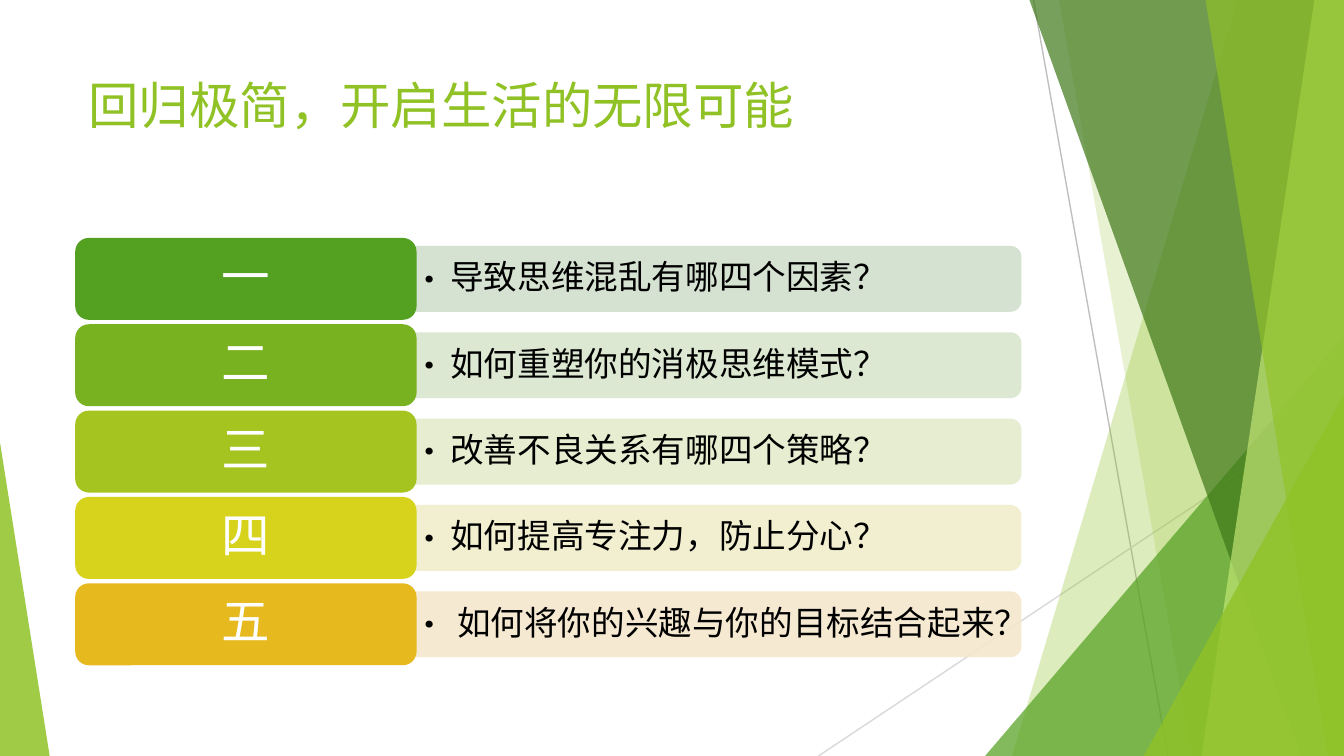
"""Build the agenda slide with faceted green edges and five numbered questions."""
from lxml.etree import SubElement
from pptx import Presentation
from pptx.dml.color import RGBColor
from pptx.enum.shapes import MSO_CONNECTOR as CONN, MSO_SHAPE as SHAPE
from pptx.enum.text import MSO_ANCHOR as ANCHOR, PP_ALIGN as ALIGN
from pptx.oxml.ns import qn
from pptx.util import Inches, Pt

THEME = {
    "font": "Karla",
    "green": "90C226", "leaf": "54A021", "forest": "3F7819", "lime": "C0E474",
    "white": "FFFFFF", "black": "000000",
    "title": 27, "label": 26, "body": 18,
}
TITLE = "回归极简，开启生活的无限可能"
ROWS = [
    ("一", "导致思维混乱有哪四个因素？", "54A021", "D1DFCD", 0.19),
    ("二", "如何重塑你的消极思维模式？", "79B220", "D9E6CC", 0.19),
    ("三", "改善不良关系有哪四个策略？", "A5C41F", "E5ECCB", 0.19),
    ("四", "如何提高专注力，防止分心？", "D7D31D", "F1EECC", 0.19),
    ("五", "如何将你的兴趣与你的目标结合起来？", "E6B91E", "F5E7CD", 0.24),
]
WIDTH = 10
HEIGHT = WIDTH * 9 / 16
LINES = [
    ((7.69, 0), (8.69, HEIGHT), "BFBFBF"),
    ((WIDTH, 3.02), (6.09, HEIGHT), "D9D9D9"),
]
FACETS = [
    ("band", (9.21, 7.53), "green", 30),
    ("band", (7.88, 8.87), "green", 20),
    ("triangle", (7.33, 2.5, 2.67, 1), "leaf", 72),
    ("band", (7.66, 9.68), "forest", 70),
    ("band", (9.78, 8.94), "lime", 70),
    ("band", (8.97, 9.88), "green", 65),
    ("triangle", (8.51, 2.94, 1.49, 1), "green", 80),
    ("triangle", (0, 3.29, 0.37, 0), "green", 85),
]
LABEL = {"left": 0.56, "top": 1.77, "width": 2.54, "height": 0.61}
BAR = {"left": 3.09, "width": 4.51, "height": 0.49}
STEP = (4.34 - LABEL["top"]) / (len(ROWS) - 1)


def paint(s, color, alpha=100):
    s.shadow.inherit = False
    s.fill.solid()
    s.fill.fore_color.rgb = RGBColor.from_string(color)
    s.line.fill.background()
    if alpha < 100:
        rgb = s._element.spPr.find(qn("a:solidFill")).find(qn("a:srgbClr"))
        SubElement(rgb, qn("a:alpha"), val=str(alpha * 1000))


def add_shape(slide, kind, box, color, alpha=100):
    s = slide.shapes.add_shape(kind, *map(Inches, box))
    paint(s, color, alpha)
    return s


def write(s, text, size, color, margins, anchor, align=ALIGN.LEFT, spacing=1.0, hang=0):
    tf = s.text_frame
    names = ("margin_left", "margin_top", "margin_right", "margin_bottom")
    frame = dict(zip(names, map(Inches, margins)), word_wrap=True, vertical_anchor=anchor)
    for name, value in frame.items():
        setattr(tf, name, value)
    p = tf.paragraphs[0]
    p.alignment, p.line_spacing = align, spacing
    if hang:
        pPr = p._p.get_or_add_pPr()
        pPr.set("marL", str(Inches(hang)))
        pPr.set("indent", str(-Inches(hang)))
        SubElement(pPr, qn("a:buFont"), typeface=THEME["font"])
        SubElement(pPr, qn("a:buChar"), char="•")
    r = p.add_run()
    r.text = text
    font = {"name": THEME["font"], "size": Pt(size)}
    for name, value in font.items():
        setattr(r.font, name, value)
    r.font.color.rgb = RGBColor.from_string(color)


def add_line(slide, start, end, color):
    s = slide.shapes.add_connector(CONN.STRAIGHT, *map(Inches, start + end))
    s.line.color.rgb = RGBColor.from_string(color)
    s.line.width = Pt(0.75)
    SubElement(s._element.spPr, qn("a:effectLst"))


def add_facet(slide, kind, geometry, color, alpha):
    if kind == "triangle":
        left, top, width, apex = geometry
        box = (left, top, width, HEIGHT - top)
        s = add_shape(slide, SHAPE.ISOSCELES_TRIANGLE, box, THEME[color], alpha)
        s.adjustments[0] = apex
        return
    top, bottom = geometry
    corners = [(top, 0), (WIDTH, 0), (WIDTH, HEIGHT), (bottom, HEIGHT)]
    points = [(Inches(x), Inches(y)) for x, y in corners]
    builder = slide.shapes.build_freeform(*points[0], scale=1.0)
    builder.add_line_segments(points[1:], close=True)
    paint(builder.convert_to_shape(), THEME[color], alpha)


def add_row(slide, index, number, question, color, tint, hang):
    top = LABEL["top"] + index * STEP
    middle = top + LABEL["height"] / 2
    left, length, thick = BAR["left"], BAR["width"], BAR["height"]
    upright = (left + (length - thick) / 2, middle - length / 2, thick, length)
    s = add_shape(slide, SHAPE.ROUND_2_SAME_RECTANGLE, upright, tint, 90)
    s.rotation = 90
    box = (left, middle - thick / 2, length, thick)
    s = slide.shapes.add_textbox(*map(Inches, box))
    write(s, question, THEME["body"], THEME["black"], (0.07, 0.04, 0, 0.04),
          ANCHOR.MIDDLE, spacing=0.9, hang=hang)
    box = (LABEL["left"], top, LABEL["width"], LABEL["height"])
    s = add_shape(slide, SHAPE.ROUNDED_RECTANGLE, box, color)
    write(s, number, THEME["label"], THEME["white"], (0.11, 0.05, 0.11, 0.05),
          ANCHOR.MIDDLE, ALIGN.CENTER, 0.9)


def main():
    prs = Presentation()
    prs.slide_width, prs.slide_height = Inches(WIDTH), Inches(HEIGHT)
    slide = prs.slides.add_slide(prs.slide_layouts[6])
    for line in LINES:
        add_line(slide, *line)
    for facet in FACETS:
        add_facet(slide, *facet)
    s = slide.shapes.add_textbox(*map(Inches, (0.56, 0.5, 7.05, 1.08)))
    write(s, TITLE, THEME["title"], THEME["green"], (0.1, 0.05, 0.1, 0.05), ANCHOR.TOP)
    for index, row in enumerate(ROWS):
        add_row(slide, index, *row)
    prs.save("out.pptx")


if __name__ == "__main__":
    main()
